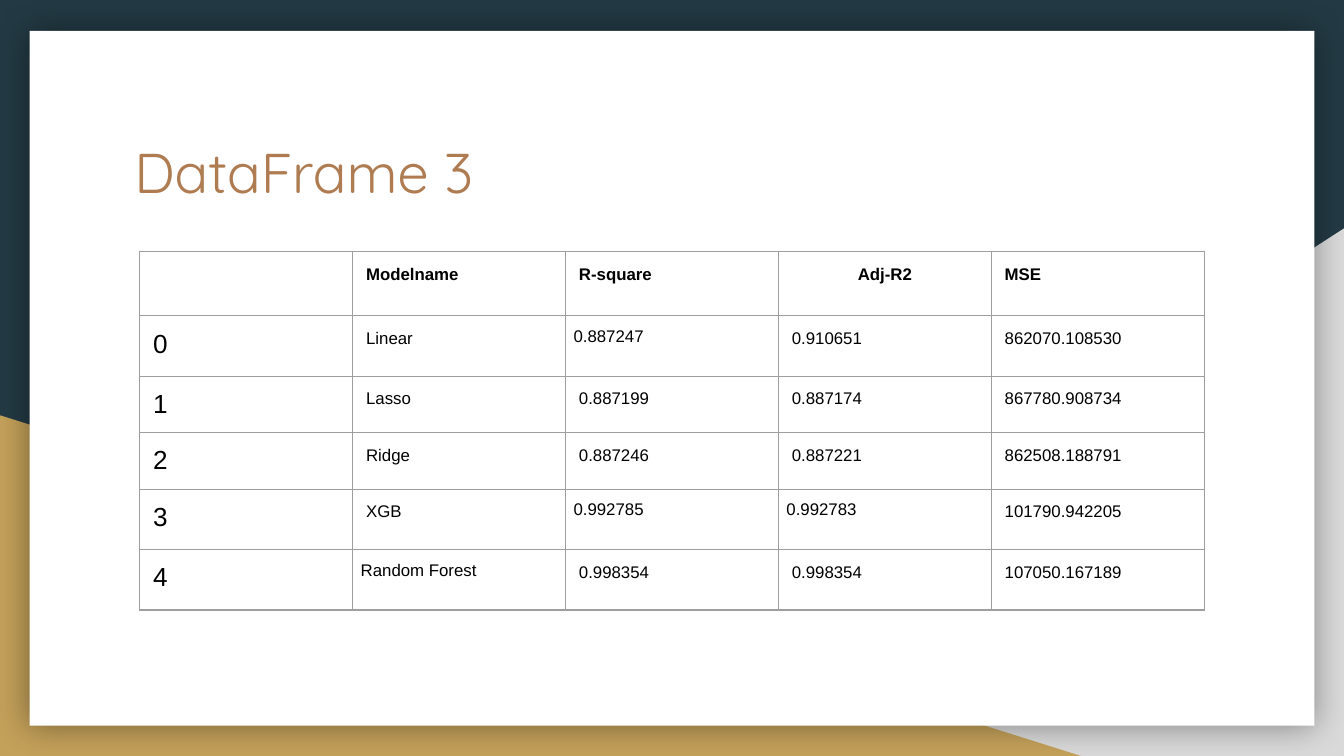
from dataclasses import dataclass

from lxml.etree import SubElement
from pptx import Presentation
from pptx.dml.color import RGBColor as Color
from pptx.enum.shapes import MSO_SHAPE as Preset
from pptx.enum.text import MSO_ANCHOR as Anchor, MSO_AUTO_SIZE as AutoSize, PP_ALIGN as Align
from pptx.oxml import parse_xml
from pptx.oxml.ns import nsdecls, qn
from pptx.util import Inches, Pt


@dataclass(frozen=True)
class Theme:
    navy: str = "233A44"
    gray: str = "D9D9D9"
    gold: str = "C4A15A"
    white: str = "FFFFFF"
    copper: str = "AF7B51"
    black: str = "000000"
    border: str = "9E9E9E"
    title_font: str = "Quicksand"
    body_font: str = "Arial"
    title_size: int = 30
    index_size: int = 14
    body_size: int = 9


@dataclass(frozen=True)
class Panel:
    preset: Preset
    left: float
    top: float
    width: float
    height: float
    color: str
    flipped: bool = False
    shadowed: bool = False


@dataclass(frozen=True)
class Entry:
    text: str
    tight: bool = False  # smaller insets and looser lines


THEME = Theme()

PANELS = [
    Panel(Preset.RIGHT_TRIANGLE, 3.92, 1.7, 6.08, 3.93, THEME.gray, flipped=True),
    Panel(Preset.RIGHT_TRIANGLE, 0, 3.09, 8.06, 2.54, THEME.gold),
    Panel(Preset.RECTANGLE, 0.22, 0.23, 9.56, 5.17, THEME.white, shadowed=True),
]

ROWS = [
    [Entry(""), Entry("Modelname"), Entry("R-square"), Entry("Adj-R2", True), Entry("MSE")],
    [Entry("0"), Entry("Linear"), Entry("0.887247", True), Entry("0.910651"), Entry("862070.108530")],
    [Entry("1"), Entry("Lasso"), Entry("0.887199"), Entry("0.887174"), Entry("867780.908734")],
    [Entry("2"), Entry("Ridge"), Entry("0.887246"), Entry("0.887221"), Entry("862508.188791")],
    [Entry("3"), Entry("XGB"), Entry("0.992785", True), Entry("0.992783", True), Entry("101790.942205")],
    [Entry("4"), Entry("Random Forest", True), Entry("0.998354"), Entry("0.998354"), Entry("107050.167189")],
]
ROW_HEIGHTS = [0.48, 0.45, 0.42, 0.42, 0.45, 0.45]
TABLE_WIDTH = 7.92


def add_panel(page, panel: Panel) -> None:
    box = page.shapes.add_shape(
        panel.preset, *map(Inches, (panel.left, panel.top, panel.width, panel.height)))
    box.shadow.inherit = False
    box.fill.solid()
    box.fill.fore_color.rgb = Color.from_string(panel.color)
    box.line.fill.background()
    properties = box.element.spPr
    if panel.flipped:
        properties.find(qn("a:xfrm")).set("flipH", "1")
    if panel.shadowed:
        shadow = SubElement(properties.find(qn("a:effectLst")), qn("a:outerShdw"),
                            blurRad=str(Pt(18)), dist="0", dir="0", algn="ctr", rotWithShape="0")
        shade = SubElement(shadow, qn("a:srgbClr"), val=THEME.black)
        SubElement(shade, qn("a:alpha"), val="40000")


def format_title(page, text: str) -> None:
    title = page.shapes.title
    title.left, title.top, title.width, title.height = map(Inches, (0.9, 0.92, 8.21, 1.04))
    frame = title.text_frame
    frame.text = text
    frame.word_wrap = True
    frame.auto_size = AutoSize.NONE
    frame.vertical_anchor = Anchor.TOP
    frame.margin_left = frame.margin_right = frame.margin_top = frame.margin_bottom = Inches(0.1)
    para = frame.paragraphs[0]
    para.alignment = Align.LEFT
    para.font.name = THEME.title_font
    para.font.size = Pt(THEME.title_size)
    para.font.color.rgb = Color.from_string(THEME.copper)
    # Bring the title in front of the panels
    title.element.getparent().append(title.element)


def add_borders(cell) -> None:
    properties = cell._tc.get_or_add_tcPr()
    for position, side in enumerate(("lnL", "lnR", "lnT", "lnB")):
        properties.insert(position, parse_xml(
            f'<a:{side} {nsdecls("a")} w="{Pt(0.75)}"><a:solidFill>'
            f'<a:srgbClr val="{THEME.border}"/></a:solidFill></a:{side}>'))


def fill_cell(cell, entry: Entry, is_header: bool, is_index: bool) -> None:
    cell.fill.background()
    add_borders(cell)
    inset = Inches(0.06 if entry.tight else 0.1)
    cell.margin_left = cell.margin_right = cell.margin_top = cell.margin_bottom = inset
    cell.vertical_anchor = Anchor.TOP
    para = cell.text_frame.paragraphs[0]
    size = THEME.index_size if is_index else THEME.body_size
    if not entry.text:
        # Keep the empty corner cell from stretching its row
        SubElement(para._p, qn("a:endParaRPr"), sz=str(size * 100))
        return
    para.text = entry.text
    para.alignment = Align.LEFT
    para.font.name = THEME.body_font
    para.font.size = Pt(size)
    para.font.bold = is_header
    para.font.color.rgb = Color.from_string(THEME.black)
    if entry.tight:
        cell.vertical_anchor = Anchor.MIDDLE
        cell.margin_bottom = Inches(0.22)
        para.line_spacing = 1.15
        if is_header:
            para.alignment = Align.CENTER


def add_scores(page) -> None:
    columns = len(ROWS[0])
    table = page.shapes.add_table(
        len(ROWS), columns, Inches(1.04), Inches(1.87),
        Inches(TABLE_WIDTH), Inches(sum(ROW_HEIGHTS))).table
    table.first_row = table.horz_banding = False
    for column in table.columns:
        column.width = Inches(TABLE_WIDTH / columns)
    for row, (entries, height) in enumerate(zip(ROWS, ROW_HEIGHTS)):
        table.rows[row].height = Inches(height)
        for column, entry in enumerate(entries):
            fill_cell(table.cell(row, column), entry, row == 0, column == 0)


def main() -> None:
    deck = Presentation()
    # Widescreen, 16:9
    deck.slide_width = Inches(10)
    deck.slide_height = Inches(10 * 9 / 16)
    page = deck.slides.add_slide(deck.slide_layouts[5])

    # Backdrop
    page.background.fill.solid()
    page.background.fill.fore_color.rgb = Color.from_string(THEME.navy)
    for panel in PANELS:
        add_panel(page, panel)

    # Title and model scores
    format_title(page, "DataFrame 3")
    add_scores(page)
    deck.save("out.pptx")


if __name__ == "__main__":
    main()
